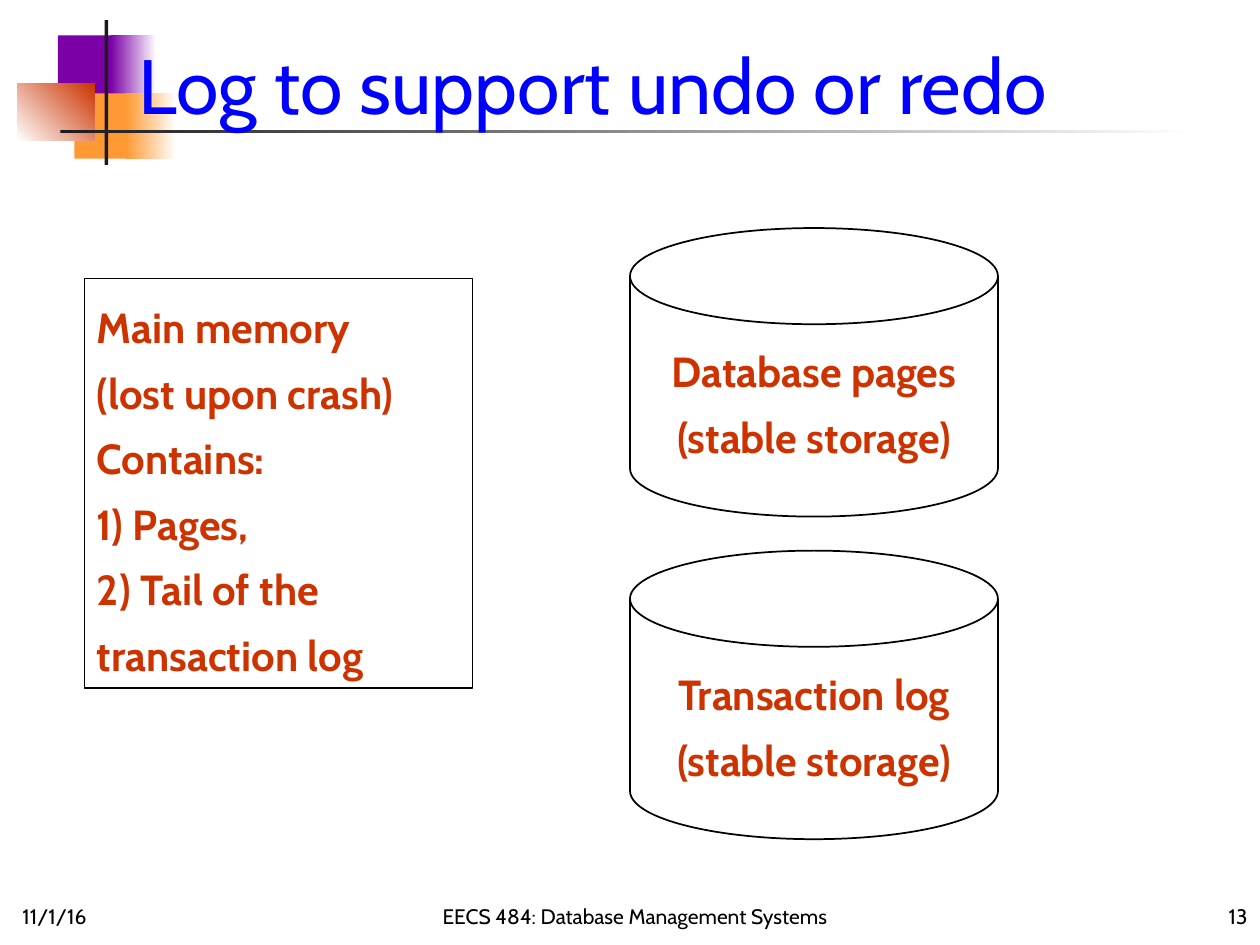
from dataclasses import dataclass

from pptx import Presentation
from pptx.dml.color import RGBColor
from pptx.enum.shapes import MSO_SHAPE
from pptx.enum.text import MSO_ANCHOR, MSO_AUTO_SIZE, PP_ALIGN
from pptx.util import Inches, Pt


@dataclass(frozen=True)
class Theme:
    font: str = "Cabin"
    title_size: int = 44
    label_size: int = 24
    footer_size: int = 12
    title: str = "0000FF"
    label: str = "CC3300"
    black: str = "000000"
    white: str = "FFFFFF"
    purple: str = "7B00A6"
    orange: str = "FF9933"
    red: str = "CC3300"
    dark: str = "1C1C1C"


theme = Theme()


def add_block(geometry, box):
    """Add a preset shape without shadow, fill or line."""
    shape = slide.shapes.add_shape(geometry, *map(Inches, box))
    shape.shadow.inherit = False
    shape.fill.background()
    shape.line.fill.background()
    return shape


def write(shape, lines, size, color, align=PP_ALIGN.LEFT, anchor=MSO_ANCHOR.BOTTOM,
          bold=False, spacing=None, fit=MSO_AUTO_SIZE.NONE):
    """Write one paragraph per line into a shape."""
    frame = shape.text_frame
    frame.word_wrap = True
    frame.auto_size = fit
    frame.vertical_anchor = anchor
    for index, line in enumerate(lines):
        paragraph = frame.add_paragraph() if index else frame.paragraphs[0]
        paragraph.alignment = align
        paragraph.line_spacing = spacing
        run = paragraph.add_run()
        run.text = line
        run.font.name = theme.font
        run.font.size = Pt(size)
        run.font.bold = bold
        run.font.color.rgb = RGBColor.from_string(color)


presentation = Presentation()
presentation.slide_width = Inches(10)
presentation.slide_height = Inches(7.5)
slide = presentation.slides.add_slide(presentation.slide_layouts[5])

# Corner ornament: box, start colour, end colour, gradient angle
ornaments = [
    ((0.46, 0.28, 0.48, 0.52), theme.purple, None, 0),
    ((0.88, 0.28, 0.36, 0.52), theme.purple, theme.white, 0),
    ((0.59, 0.74, 0.46, 0.52), theme.orange, None, 0),
    ((1, 0.74, 0.4, 0.52), theme.orange, theme.white, 0),
    ((0.14, 0.66, 0.61, 0.46), theme.white, theme.red, 45),
    ((0.83, 0.16, 0.03, 1.15), theme.dark, None, 0),
    ((0.48, 1.03, 9, 0.03), theme.dark, theme.white, 0),
]
for box, start, end, angle in ornaments:
    fill = add_block(MSO_SHAPE.RECTANGLE, box).fill
    if end is None:
        fill.solid()
        fill.fore_color.rgb = RGBColor.from_string(start)
    else:
        fill.gradient()
        fill.gradient_angle = angle
        for stop, position, color in zip(fill.gradient_stops, (0, 1), (start, end)):
            stop.position = position
            stop.color.rgb = RGBColor.from_string(color)

# Title, brought in front of the ornament
title = slide.shapes.title
title.left, title.top = Inches(1), Inches(-0.17)
title.width, title.height = Inches(8.83), Inches(1.25)
write(title, ["Log to support undo or redo"], theme.title_size, theme.title)
title.element.getparent().append(title.element)

# Footer: left, width, text, alignment
footers = [
    (0.08, 2.08, "11/1/16", PP_ALIGN.LEFT),
    (2.33, 5.42, "EECS 484: Database Management Systems", PP_ALIGN.CENTER),
    (7.92, 2.08, "13", PP_ALIGN.RIGHT),
]
for left, width, text, align in footers:
    footer = slide.shapes.add_textbox(Inches(left), Inches(6.92), Inches(width), Inches(0.5))
    write(footer, [text], theme.footer_size, theme.black, align)

# Stable storage disks and main memory
disk = MSO_SHAPE.FLOWCHART_MAGNETIC_DISK
stores = [
    (disk, (5, 1.81, 2.92, 2.29), PP_ALIGN.CENTER,
     ["Database pages", "(stable storage)"]),
    (disk, (5, 4.37, 2.92, 2.29), PP_ALIGN.CENTER,
     ["Transaction log", "(stable storage)"]),
    (MSO_SHAPE.RECTANGLE, (0.67, 2.21, 3.08, 3.25), PP_ALIGN.LEFT,
     ["Main memory", "(lost upon crash)", "Contains:", "1) Pages,",
      "2) Tail of the transaction log"]),
]
for geometry, box, align, lines in stores:
    store = add_block(geometry, box)
    store.line.color.rgb = RGBColor.from_string(theme.black)
    store.line.width = Pt(1)
    write(store, lines, theme.label_size, theme.label, align, MSO_ANCHOR.MIDDLE,
          bold=True, spacing=1.3, fit=MSO_AUTO_SIZE.SHAPE_TO_FIT_TEXT)

presentation.save("out.pptx")
